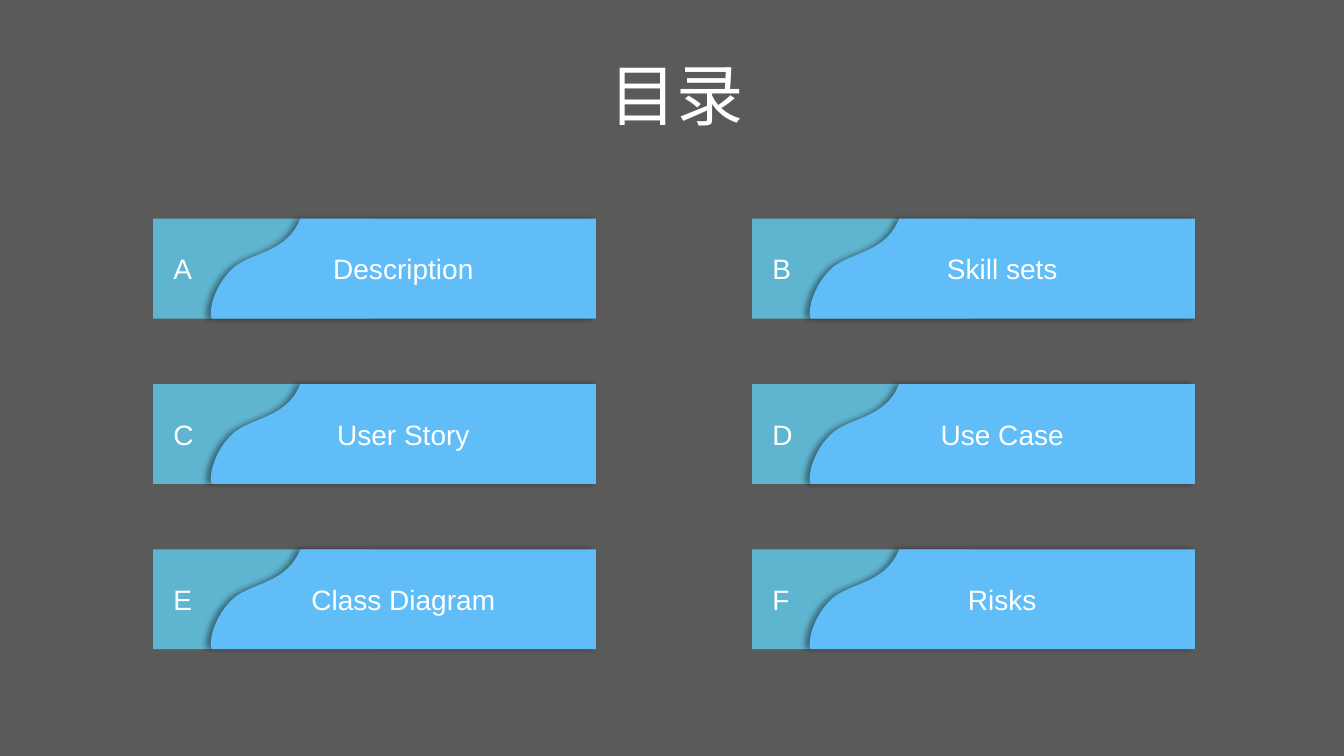
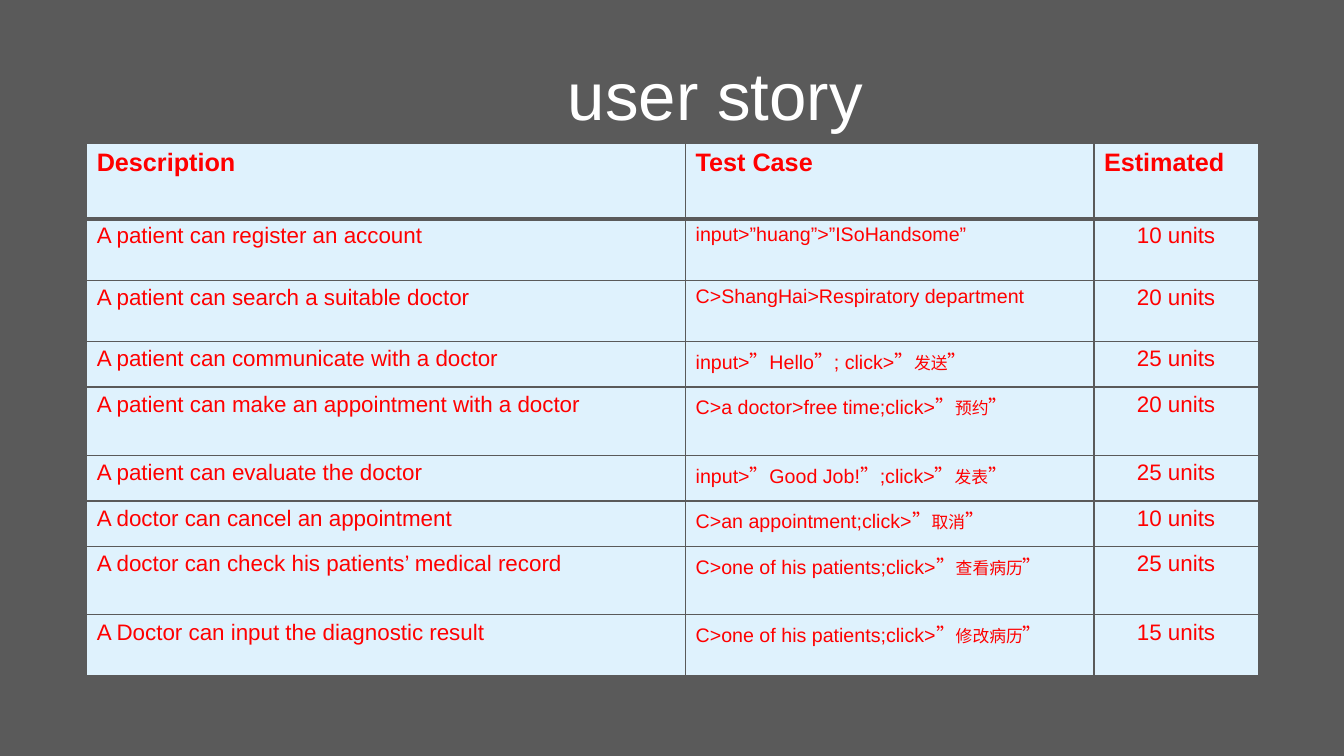
from dataclasses import dataclass

from lxml.etree import SubElement
from pptx import Presentation
from pptx.dml.color import RGBColor
from pptx.enum.shapes import MSO_SHAPE
from pptx.enum.text import MSO_ANCHOR, MSO_AUTO_SIZE, PP_ALIGN
from pptx.oxml.ns import qn
from pptx.util import Inches, Pt


@dataclass(frozen=True)
class Theme:
    font: str = "Arial"
    background: str = "5A5A5A"
    title: str = "FFFFFF"
    label: str = "FEFFFF"
    letter_fill: str = "5FB4CF"
    wave_fill: str = "60BDF7"
    shadow: str = "000000"
    cell_fill: str = "DFF2FD"
    cell_text: str = "FF0000"
    title_size: int = 48
    label_size: int = 20
    header_size: int = 18
    body_size: int = 16
    case_size: int = 14
    button_size: int = 12


THEME = Theme()

# Contents cards
TOPICS = ["Description", "Skill sets", "User Story", "Use Case", "Class Diagram", "Risks"]
CARD_LEFT, CARD_TOP = 1.52, 2.17
CARD_STEP_X, CARD_STEP_Y = 5.94, 1.64
CARD_HEIGHT, LETTER_WIDTH = 0.99, 2.16
WAVE_OFFSET, WAVE_WIDTH = 0.57, 3.82
WAVE_START = (0.89, 0)
WAVE_CORNERS = [(WAVE_WIDTH, 0), (WAVE_WIDTH, CARD_HEIGHT), (0.01, CARD_HEIGHT), (0, 0.95)]
# Each curve: two control points and its end
WAVE_CURVES = [
    [(0, 0.81), (0.08, 0.63), (0.2, 0.51)],
    [(0.36, 0.34), (0.71, 0.35), (0.86, 0.06)],
]

# User story table: a test case may end with the name of a clicked button
HEADERS = ["Description", "Test Case", "Estimated"]
STORIES = [
    ("A patient can register an account", ["input>”huang”>”ISoHandsome”"], 10),
    ("A patient can search a suitable doctor", ["C>ShangHai>Respiratory department"], 20),
    ("A patient can communicate with a doctor", ["input>”Hello”; click>”", "发送", "”"], 25),
    ("A patient can make an appointment with a doctor",
     ["C>a doctor>free time;click>”", "预约", "”"], 20),
    ("A patient can evaluate the doctor", ["input>”Good Job!”;click>”", "发表", "”"], 25),
    ("A doctor can cancel an appointment", ["C>an appointment;click>”", "取消", "”"], 10),
    ("A doctor can check his patients’ medical record",
     ["C>one of his patients;click>”", "查看病历", "”"], 25),
    ("A Doctor can input the diagnostic result",
     ["C>one of his patients;click>”", "修改病历", "”"], 15),
]
COLUMN_WIDTHS = [5.94, 4.05, 1.63]
ROW_HEIGHTS = [0.75, 0.61, 0.61, 0.45, 0.68, 0.45, 0.45, 0.68, 0.6]


class Deck:
    def __init__(self, theme):
        self.theme = theme
        self.presentation = Presentation()
        self.presentation.slide_width = Inches(13.33)
        self.presentation.slide_height = Inches(7.5)
        self.slide = None
        self.paint(self.presentation.slide_master.background.fill, theme.background)

    def paint(self, fill, color):
        fill.solid()
        fill.fore_color.rgb = RGBColor.from_string(color)

    def style_run(self, run, size, color, bold=False):
        run.font.name = self.theme.font
        run.font.size = Pt(size)
        run.font.bold = bold
        run.font.color.rgb = RGBColor.from_string(color)

    def add_slide(self, title, left, width):
        self.slide = self.presentation.slides.add_slide(self.presentation.slide_layouts[5])
        heading = self.slide.shapes.title
        heading.left, heading.top = Inches(left), Inches(0.43)
        heading.width, heading.height = Inches(width), Inches(1)
        frame = heading.text_frame
        frame.text = title
        frame.auto_size = MSO_AUTO_SIZE.NONE
        frame.vertical_anchor = MSO_ANCHOR.MIDDLE
        frame.paragraphs[0].alignment = PP_ALIGN.CENTER
        self.style_run(frame.paragraphs[0].runs[0], self.theme.title_size, self.theme.title)

    def label_shape(self, shape, text, fill, alignment):
        self.paint(shape.fill, fill)
        shape.line.fill.background()
        shape.shadow.inherit = False
        frame = shape.text_frame
        frame.text = text
        frame.word_wrap = True
        frame.vertical_anchor = MSO_ANCHOR.MIDDLE
        frame.paragraphs[0].alignment = alignment
        self.style_run(frame.paragraphs[0].runs[0], self.theme.label_size, self.theme.label)

    def add_shadow(self, shape):
        effects = shape.element.spPr.find(qn("a:effectLst"))
        shadow = SubElement(effects, qn("a:outerShdw"), blurRad=str(Pt(4)), dist=str(Pt(3)),
                            dir="10800000", algn="r", rotWithShape="0")
        color = SubElement(shadow, qn("a:srgbClr"), val=self.theme.shadow)
        SubElement(color, qn("a:alpha"), val="40000")

    def bend_last_segments(self, shape, curves):
        """Turn the last straight segments of an outline into cubic curves."""
        segments = list(shape.element.iter(qn("a:lnTo")))[-len(curves):]
        for segment, curve in zip(segments, curves):
            bend = segment.makeelement(qn("a:cubicBezTo"))
            for x, y in curve:
                SubElement(bend, qn("a:pt"), x=str(Inches(x)), y=str(Inches(y)))
            segment.getparent().replace(segment, bend)

    def add_card(self, letter, topic, left, top):
        card = self.slide.shapes.add_group_shape().shapes
        # Letter block
        block = card.add_shape(MSO_SHAPE.RECTANGLE, Inches(left), Inches(top),
                               Inches(LETTER_WIDTH), Inches(CARD_HEIGHT))
        self.label_shape(block, letter, self.theme.letter_fill, PP_ALIGN.LEFT)
        block.text_frame.margin_left = Inches(0.2)
        # Topic panel with a wavy left edge
        outline = WAVE_CORNERS + [curve[-1] for curve in WAVE_CURVES]
        builder = card.build_freeform(*map(Inches, WAVE_START))
        builder.add_line_segments([(Inches(x), Inches(y)) for x, y in outline])
        panel = builder.convert_to_shape(Inches(left + WAVE_OFFSET), Inches(top))
        self.bend_last_segments(panel, WAVE_CURVES)
        self.label_shape(panel, topic, self.theme.wave_fill, PP_ALIGN.CENTER)
        self.add_shadow(panel)

    def fill_cell(self, cell, pieces, sizes, bold=False, alignment=PP_ALIGN.LEFT, bottom=1):
        paragraph = cell.text_frame.paragraphs[0]
        paragraph.alignment = alignment
        for piece, size in zip(pieces, sizes):
            run = paragraph.add_run()
            run.text = piece
            self.style_run(run, size, self.theme.cell_text, bold)
        properties = cell._tc.get_or_add_tcPr()
        for side, width in (("L", 1), ("R", 1), ("T", 1), ("B", bottom)):
            border = SubElement(properties, qn(f"a:ln{side}"), w=str(Pt(width)))
            SubElement(SubElement(border, qn("a:solidFill")), qn("a:srgbClr"), val=self.theme.background)
        self.paint(cell.fill, self.theme.cell_fill)

    def add_story_table(self, left, top):
        theme = self.theme
        table = self.slide.shapes.add_table(
            len(ROW_HEIGHTS), len(COLUMN_WIDTHS), Inches(left), Inches(top),
            Inches(sum(COLUMN_WIDTHS)), Inches(sum(ROW_HEIGHTS))).table
        for column, width in zip(table.columns, COLUMN_WIDTHS):
            column.width = Inches(width)
        for row, height in zip(table.rows, ROW_HEIGHTS):
            row.height = Inches(height)
        # Header
        for column, header in enumerate(HEADERS):
            self.fill_cell(table.cell(0, column), [header], [theme.header_size], bold=True, bottom=3)
        # Stories
        case_sizes = [theme.case_size, theme.button_size, theme.case_size]
        for row, (story, test_case, units) in enumerate(STORIES, start=1):
            self.fill_cell(table.cell(row, 0), [story], [theme.body_size])
            self.fill_cell(table.cell(row, 1), test_case, case_sizes)
            self.fill_cell(table.cell(row, 2), [f"{units} units"], [theme.body_size],
                           alignment=PP_ALIGN.CENTER)


def main():
    deck = Deck(THEME)

    # Contents
    deck.add_slide("目录", 5.39, 2.64)
    for index, (letter, topic) in enumerate(zip("ABCDEF", TOPICS)):
        row, column = divmod(index, 2)
        deck.add_card(letter, topic, CARD_LEFT + column * CARD_STEP_X, CARD_TOP + row * CARD_STEP_Y)

    # User stories
    deck.add_slide("user story", 4, 6.19)
    deck.add_story_table(0.86, 1.42)

    deck.presentation.save("out.pptx")


if __name__ == "__main__":
    main()
